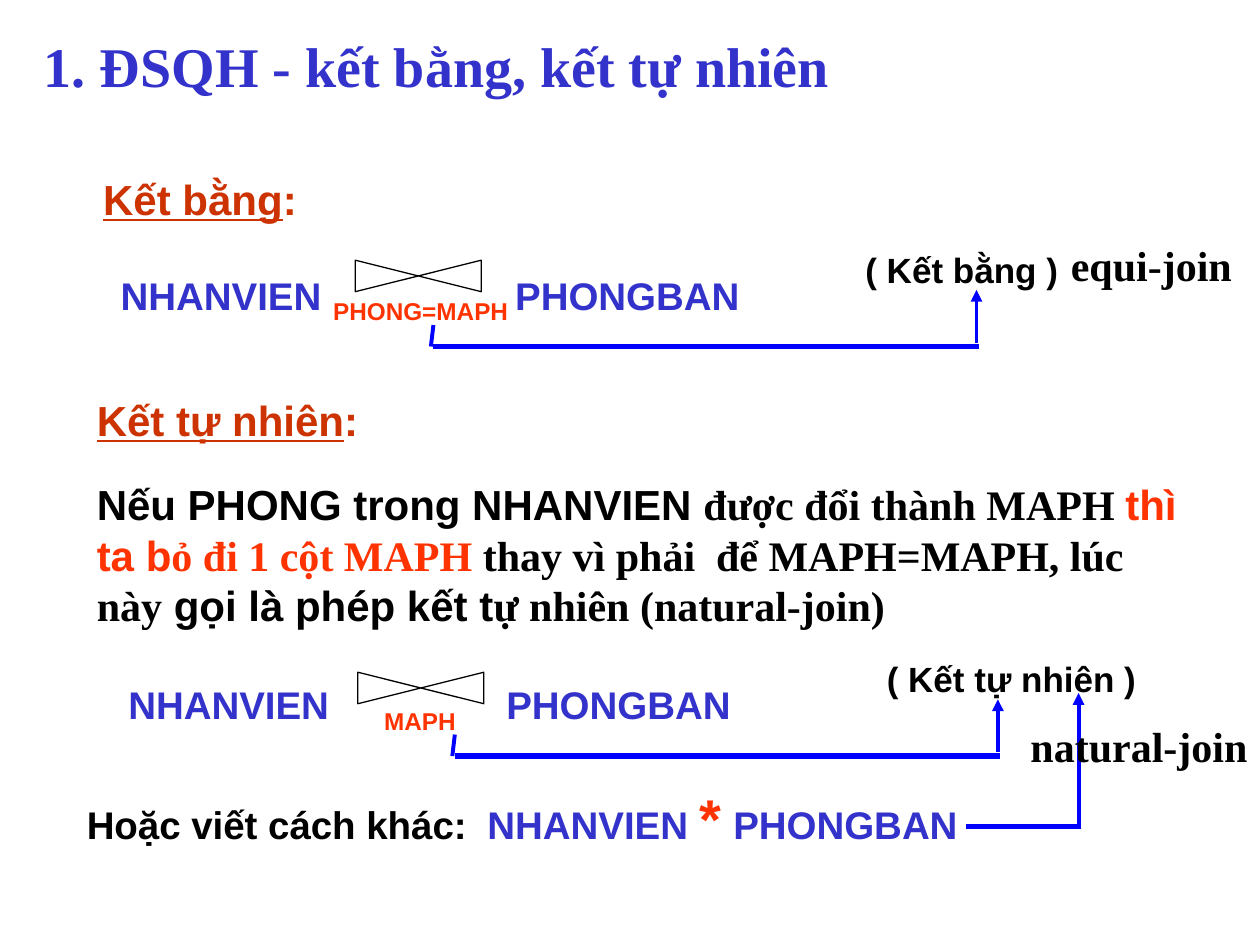
from dataclasses import dataclass
from lxml.etree import SubElement
from pptx import Presentation
from pptx.dml.color import RGBColor
from pptx.enum.shapes import MSO_CONNECTOR as Connector, MSO_SHAPE as Shape
from pptx.enum.text import MSO_ANCHOR as Anchor, MSO_AUTO_SIZE as AutoSize
from pptx.oxml.ns import qn
from pptx.util import Inches, Pt


@dataclass(frozen=True)
class Theme:
    sans: str = "Arial"
    serif: str = "Times New Roman"
    blue: str = "3333CC"
    red: str = "FF3300"
    brown: str = "CC3300"
    black: str = "000000"
    white: str = "FFFFFF"
    arrow: str = "0000FF"
    title: int = 32
    body: int = 24
    relation: int = 22
    label: int = 20
    thin: float = 0.75
    medium: float = 2.25
    thick: float = 3
    subscript: int = -25000
    space_before: float = 5.5


THEME = Theme()


def run(text, size=THEME.body, color=THEME.black, font=THEME.sans, underline=False, subscript=False):
    return dict(text=text, size=size, color=color, font=font, underline=underline, subscript=subscript)


def relation(text):
    return run(text, THEME.relation, THEME.blue)


def condition(text):
    return run(text, color=THEME.red, subscript=True)


def heading(text):
    return [run(text, color=THEME.brown, underline=True), run(":", color=THEME.brown)]


TITLE = [run("1. ĐSQH - kết bằng, kết tự nhiên", THEME.title, THEME.blue, THEME.serif)]

EXPLANATION = [
    run("Nếu PHONG trong NHANVIEN "),
    run("được đổi thành MAPH ", font=THEME.serif),
    run("thì ta b", color=THEME.red),
    run("ỏ đi 1 cột MAPH", color=THEME.red, font=THEME.serif),
    run(" thay vì phải  để MAPH=MAPH, lúc này", font=THEME.serif),
    run(" gọi là phép kết t"),
    run("ự nhiên (natural-join)", font=THEME.serif),
]

EQUI_JOIN = [relation("NHANVIEN"), run(" "), condition("PHONG=MAPH "), relation("PHONGBAN")]
NATURAL_JOIN = [relation("NHANVIEN\t"), condition("MAPH\t"), relation("PHONGBAN")]
ALTERNATIVE = [
    run("Hoặc viết cách khác:\t", THEME.relation),
    relation("NHANVIEN"),
    run(" "),
    run("*", THEME.title, THEME.red),
    run(" "),
    relation("PHONGBAN"),
]

WRAPPED_TEXTS = [
    ((6.77, 1.92, 2.33, 0.44), [run("( Kết bằng )", THEME.label)]),
    ((0.67, 3.75, 8.83, 1.3), EXPLANATION),
    ((6.94, 5.17, 2.33, 0.44), [run("( Kết tự nhiên )", THEME.label)]),
]
SINGLE_LINES = [
    ((0.72, 1.33, 1.83, 0.5), heading("Kết bằng")),
    ((0.67, 3.08, 2.36, 0.5), heading("Kết tự nhiên")),
    ((8.4, 1.85, 1.48, 0.5), [run("equi-join", font=THEME.serif)]),
    ((8.08, 5.67, 1.92, 0.5), [run("natural-join", font=THEME.serif)]),
]
EXPRESSIONS = [
    ((0.86, 2.08, 5.15, 0.56), EQUI_JOIN, ()),
    ((0.92, 5.33, 4.98, 0.56), NATURAL_JOIN, (2.03, 3)),
    ((0.59, 6.17, 7.11, 0.64), ALTERNATIVE, (3.18,)),
]
JOIN_SYMBOL_CENTERS = [(3.32, 2.19), (3.34, 5.46)]
JOIN_SYMBOL_SIZE = (0.25, 1)
POINTER_CORNERS = [(3.44, 2.75), (3.61, 6)]
POINTER_LENGTH = 4.33


def add_text(slide, box, runs, wrap=False, space_before=0, tabs=()):
    shape = slide.shapes.add_textbox(*map(Inches, box))
    frame = shape.text_frame
    frame.word_wrap = wrap
    frame.auto_size = AutoSize.SHAPE_TO_FIT_TEXT
    paragraph = frame.paragraphs[0]
    paragraph.font.bold = True
    paragraph.space_before = Pt(space_before)
    if tabs:
        tab_list = SubElement(paragraph._p.get_or_add_pPr(), qn("a:tabLst"))
        for position in tabs:
            SubElement(tab_list, qn("a:tab"), pos=str(Inches(position)), algn="l")
        default = paragraph._p.pPr.find(qn("a:defRPr"))
        if default is not None:
            default.addprevious(tab_list)
    for item in runs:
        piece = paragraph.add_run()
        piece.text = item["text"]
        piece.font.name = item["font"]
        piece.font.size = Pt(item["size"])
        piece.font.bold = True
        piece.font.underline = item["underline"]
        piece.font.color.rgb = RGBColor.from_string(item["color"])
        if item["subscript"]:
            piece._r.get_or_add_rPr().set("baseline", str(THEME.subscript))
    return frame


def add_line(slide, start, end, width=THEME.medium, arrow=False):
    line = slide.shapes.add_connector(Connector.STRAIGHT, *map(Inches, (*start, *end)))
    line.line.color.rgb = RGBColor.from_string(THEME.arrow)
    line.line.width = Pt(width)
    if arrow:
        SubElement(line.line._get_or_add_ln(), qn("a:tailEnd"), type="triangle")
    SubElement(line._element.spPr, qn("a:effectLst"))


def add_join_symbol(slide, center):
    width, height = JOIN_SYMBOL_SIZE
    left, top = center[0] - width / 2, center[1] - height / 2
    shape = slide.shapes.add_shape(Shape.FLOWCHART_COLLATE, *map(Inches, (left, top, width, height)))
    shape.rotation = 270
    shape.shadow.inherit = False
    shape.fill.solid()
    shape.fill.fore_color.rgb = RGBColor.from_string(THEME.white)
    shape.line.color.rgb = RGBColor.from_string(THEME.black)
    shape.line.width = Pt(THEME.thin)


def add_pointer(slide, corner):
    x, y = corner
    end = x + POINTER_LENGTH
    add_line(slide, (x, y - 0.17), (x - 0.02, y))
    add_line(slide, corner, (end, y), THEME.thick)
    add_line(slide, (end - 0.02, y - 0.03), (end - 0.02, y - 0.45), arrow=True)


def main():
    presentation = Presentation()
    presentation.slide_width, presentation.slide_height = Inches(10), Inches(7.5)
    slide = presentation.slides.add_slide(presentation.slide_layouts[6])

    title = add_text(slide, (0.25, 0.02, 9.5, 1), TITLE, wrap=True)
    title.auto_size = AutoSize.NONE
    title.vertical_anchor = Anchor.MIDDLE

    for box, runs in WRAPPED_TEXTS:
        add_text(slide, box, runs, wrap=True)
    for box, runs, tabs in EXPRESSIONS:
        add_text(slide, box, runs, space_before=THEME.space_before, tabs=tabs)
    for center in JOIN_SYMBOL_CENTERS:
        add_join_symbol(slide, center)
    for corner in POINTER_CORNERS:
        add_pointer(slide, corner)
    add_line(slide, (8.56, 6.58), (8.56, 5.5), arrow=True)
    add_line(slide, (7.67, 6.56), (8.58, 6.56), THEME.thick)
    for box, runs in SINGLE_LINES:
        add_text(slide, box, runs)

    presentation.save("out.pptx")


if __name__ == "__main__":
    main()
